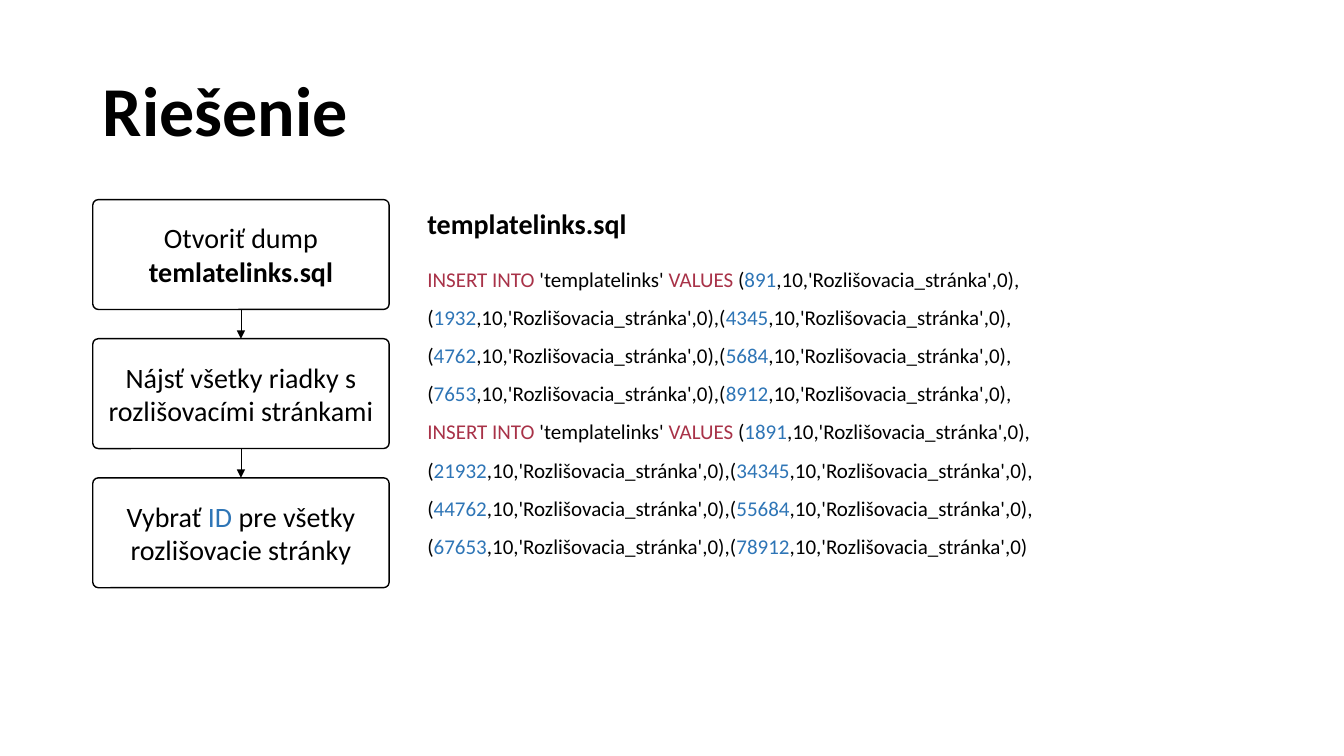
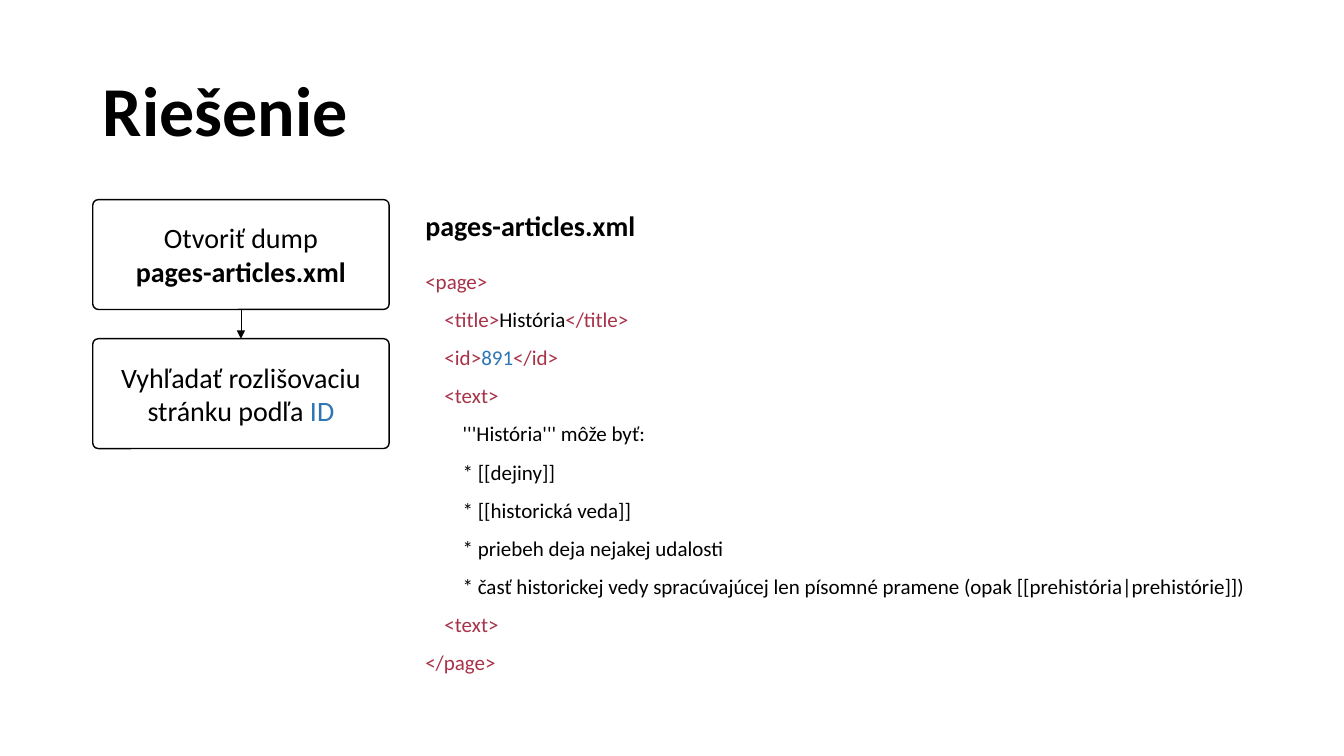
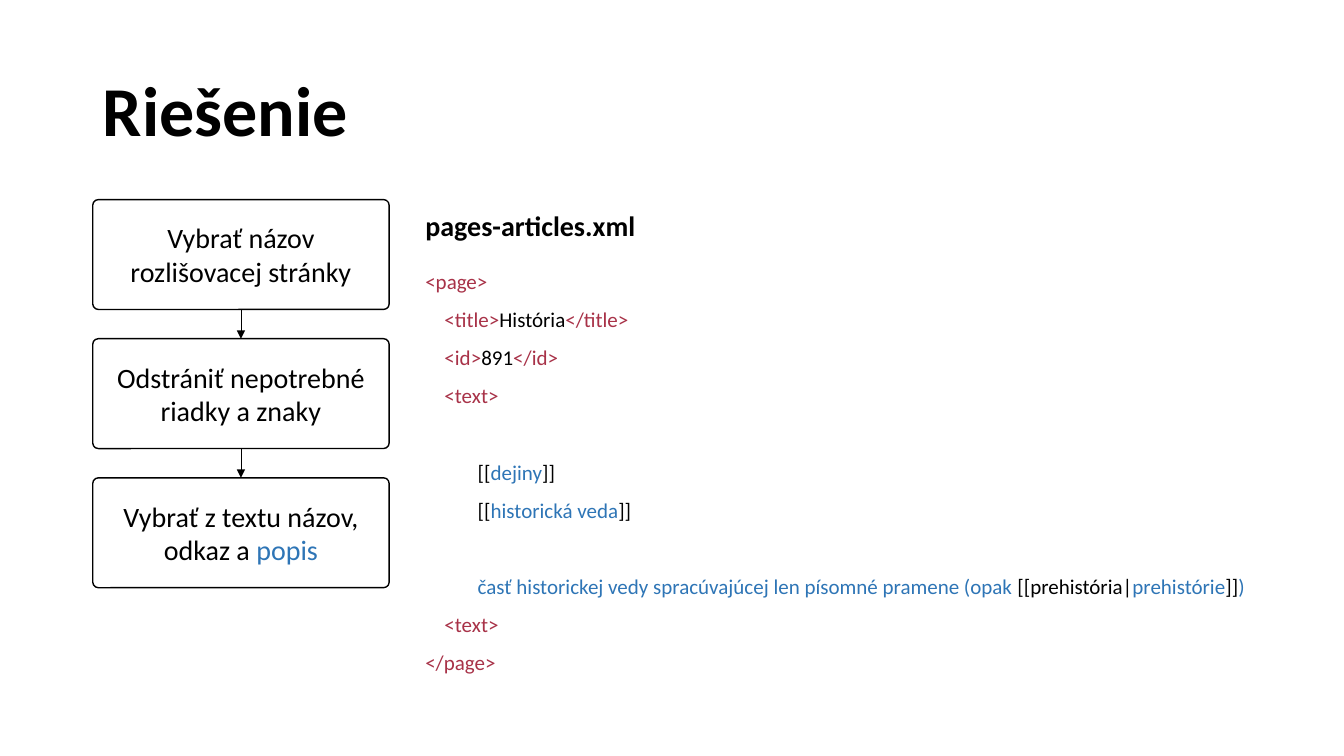
from collections import namedtuple

from lxml import etree
from pptx import Presentation
from pptx.dml.color import RGBColor
from pptx.enum.shapes import MSO_CONNECTOR, MSO_SHAPE
from pptx.enum.text import MSO_ANCHOR, MSO_AUTO_SIZE, PP_ALIGN
from pptx.oxml.ns import qn
from pptx.util import Inches, Pt

ROUNDED = MSO_SHAPE.ROUNDED_RECTANGLE
STRAIGHT = MSO_CONNECTOR.STRAIGHT
MIDDLE = MSO_ANCHOR.MIDDLE
LEFT, CENTER = PP_ALIGN.LEFT, PP_ALIGN.CENTER
NO_AUTOFIT, GROW = MSO_AUTO_SIZE.NONE, MSO_AUTO_SIZE.SHAPE_TO_FIT_TEXT
BOTTOM_SIDE, TOP_SIDE = 2, 0
TITLE_ONLY = 5

COLORS = {"text": "000000", "box": "FFFFFF", "keyword": "A83248", "value": "2E75B6"}
FONT = "Calibri"
TITLE_SIZE, TEXT_SIZE, CODE_SIZE = 50, 20, 15

STEP_LEFT, STEP_TOP, STEP_WIDTH, STEP_HEIGHT = 0.92, 1.98, 2.94, 1.09
STEP_PITCH = 1.38
LINE_SPACING = 1.07
CODE_GAP, HEADING_GAP, SKIPPED_LINE_GAP = 8, 17.3, 35.3
INDENT_TAG, INDENT_TEXT, INDENT_LINK = 0.19, 0.37, 0.52

Run = namedtuple("Run", "text color bold", defaults=("text", False))
Line = namedtuple("Line", "runs indent gap", defaults=(0, CODE_GAP))


def keyword(text):
    return Run(text, "keyword")


def value(text):
    return Run(text, "value")


def rgb(name):
    return RGBColor.from_string(COLORS[name])


def write_runs(paragraph, runs, size, alignment=LEFT):
    paragraph.alignment = alignment
    for part in runs:
        run = paragraph.add_run()
        run.text = part.text
        run.font.name = FONT
        run.font.size = Pt(size)
        run.font.bold = part.bold
        run.font.color.rgb = rgb(part.color)


def next_paragraph(text_frame, index):
    return text_frame.add_paragraph() if index else text_frame.paragraphs[0]


def add_titled_slide(presentation, text):
    slide = presentation.slides.add_slide(presentation.slide_layouts[TITLE_ONLY])
    title = slide.shapes.title
    title.left, title.top = Inches(0.92), Inches(0.4)
    title.width, title.height = Inches(11.5), Inches(1.45)
    text_frame = title.text_frame
    text_frame.auto_size = NO_AUTOFIT
    text_frame.vertical_anchor = MIDDLE
    paragraph = text_frame.paragraphs[0]
    paragraph.line_spacing = 0.9
    write_runs(paragraph, [Run(text, bold=True)], TITLE_SIZE)
    return slide


def add_step(slide, index, paragraphs):
    step = slide.shapes.add_shape(
        ROUNDED, Inches(STEP_LEFT), Inches(STEP_TOP + index * STEP_PITCH),
        Inches(STEP_WIDTH), Inches(STEP_HEIGHT))
    step.adjustments[0] = 0.051
    step.shadow.inherit = False
    step.fill.solid()
    step.fill.fore_color.rgb = rgb("box")
    step.line.color.rgb = rgb("text")
    step.line.width = Pt(1)
    text_frame = step.text_frame
    text_frame.word_wrap = True
    text_frame.vertical_anchor = MIDDLE
    for number, runs in enumerate(paragraphs):
        write_runs(next_paragraph(text_frame, number), runs, TEXT_SIZE, CENTER)
    return step


def add_arrow(slide, upper, lower):
    arrow = slide.shapes.add_connector(STRAIGHT, 0, 0, 0, 0)
    arrow.begin_connect(upper, BOTTOM_SIDE)
    arrow.end_connect(lower, TOP_SIDE)
    arrow.line.color.rgb = rgb("text")
    arrow.line.width = Pt(0.5)
    etree.SubElement(arrow.line._get_or_add_ln(), qn("a:tailEnd"), type="triangle")
    etree.SubElement(arrow._element.spPr, qn("a:effectLst"))


def add_flow(slide, steps):
    """Stack the steps downwards and join neighbours with arrows."""
    shapes = [add_step(slide, index, step) for index, step in enumerate(steps)]
    for upper, lower in zip(shapes, shapes[1:]):
        add_arrow(slide, upper, lower)


def add_listing(slide, left, top, width, height, heading, lines):
    """Add a bold file name with lines of code below it."""
    box = slide.shapes.add_textbox(Inches(left), Inches(top), Inches(width), Inches(height))
    text_frame = box.text_frame
    text_frame.word_wrap = True
    text_frame.auto_size = GROW
    heading_line = Line([Run(heading, bold=True)], gap=HEADING_GAP)
    for index, line in enumerate([heading_line, *lines]):
        paragraph = next_paragraph(text_frame, index)
        paragraph.line_spacing = LINE_SPACING
        paragraph.space_after = Pt(line.gap)
        if line.indent:
            properties = paragraph._p.get_or_add_pPr()
            properties.set("marL", str(Inches(line.indent)))
            properties.set("indent", "0")
        write_runs(paragraph, line.runs, CODE_SIZE if index else TEXT_SIZE)


def insert_statement(first_id, id_pairs, ending):
    """Lines of one INSERT: the first row, then two rows a line."""
    row_end = ",10,'Rozlišovacia_stránka',0)"
    lines = [Line([keyword("INSERT INTO "), Run("'templatelinks' "), keyword("VALUES "),
                   Run("("), value(first_id), Run(row_end + ",")])]
    for index, (left_id, right_id) in enumerate(id_pairs, start=1):
        last = ending if index == len(id_pairs) else ","
        lines.append(Line([Run("("), value(left_id), Run(row_end + ",("),
                           value(right_id), Run(row_end + last)]))
    return lines


def page_lines(page_id, text_lines, text_gap=CODE_GAP):
    """Lines of the page element around the given lines of its text."""
    return [
        Line([keyword("<page>")]),
        Line([keyword("<title>"), Run("História"), keyword("</title>")], INDENT_TAG),
        Line([keyword("<id>"), page_id, keyword("</id>")], INDENT_TAG),
        Line([keyword("<text>")], INDENT_TAG, text_gap),
        *text_lines,
        Line([keyword("<text>")], INDENT_TAG),
        Line([keyword("</page>")]),
    ]


def add_page_listing(slide, lines):
    add_listing(slide, 4.12, 2, 8.37, 4.86, "pages-articles.xml", lines)


def add_template_slide(presentation):
    slide = add_titled_slide(presentation, "Riešenie")
    statements = [
        *insert_statement("891", [("1932", "4345"), ("4762", "5684"), ("7653", "8912")], ","),
        *insert_statement("1891", [("21932", "34345"), ("44762", "55684"),
                                   ("67653", "78912")], ""),
    ]
    add_listing(slide, 4.14, 1.98, 8.27, 3.64, "templatelinks.sql", statements)
    add_flow(slide, [
        [[Run("Otvoriť dump "), Run("temlatelinks.sql", bold=True)]],
        [[Run("Nájsť všetky riadky s rozlišovacími stránkami")]],
        [[Run("Vybrať "), value("ID"), Run(" pre všetky rozlišovacie stránky")]],
    ])


def add_search_slide(presentation):
    slide = add_titled_slide(presentation, "Riešenie")
    texts = [
        "'''História''' môže byť:",
        "* [[dejiny]]",
        "* [[historická veda]]",
        "* priebeh deja nejakej udalosti",
        "* časť historickej vedy spracúvajúcej len písomné pramene "
        "(opak [[prehistória|prehistórie]])",
    ]
    text_lines = [Line([Run(text)], INDENT_TEXT) for text in texts]
    add_page_listing(slide, page_lines(value("891"), text_lines))
    add_flow(slide, [
        [[Run("Otvoriť dump")], [Run("pages-articles.xml", bold=True)]],
        [[Run("Vyhľadať rozlišovaciu stránku podľa "), value("ID")]],
    ])


def add_extraction_slide(presentation):
    slide = add_titled_slide(presentation, "Riešenie")
    text_lines = [
        Line([Run("[["), value("dejiny"), Run("]]")], INDENT_LINK),
        Line([Run("[["), value("historická veda"), Run("]]")], INDENT_LINK, SKIPPED_LINE_GAP),
        Line([value("časť historickej vedy spracúvajúcej len písomné pramene (opak "),
              Run("[[prehistória|"), value("prehistórie"), Run("]]"), value(")")], INDENT_LINK),
    ]
    add_page_listing(slide, page_lines(Run("891"), text_lines, SKIPPED_LINE_GAP))
    add_flow(slide, [
        [[Run("Vybrať názov rozlišovacej stránky")]],
        [[Run("Odstrániť nepotrebné riadky a znaky")]],
        [[Run("Vybrať z textu názov, odkaz a "), value("popis")]],
    ])


def main():
    presentation = Presentation()
    presentation.slide_width = Inches(13.33)
    presentation.slide_height = Inches(7.5)
    add_template_slide(presentation)
    add_search_slide(presentation)
    add_extraction_slide(presentation)
    presentation.save("out.pptx")


if __name__ == "__main__":
    main()
